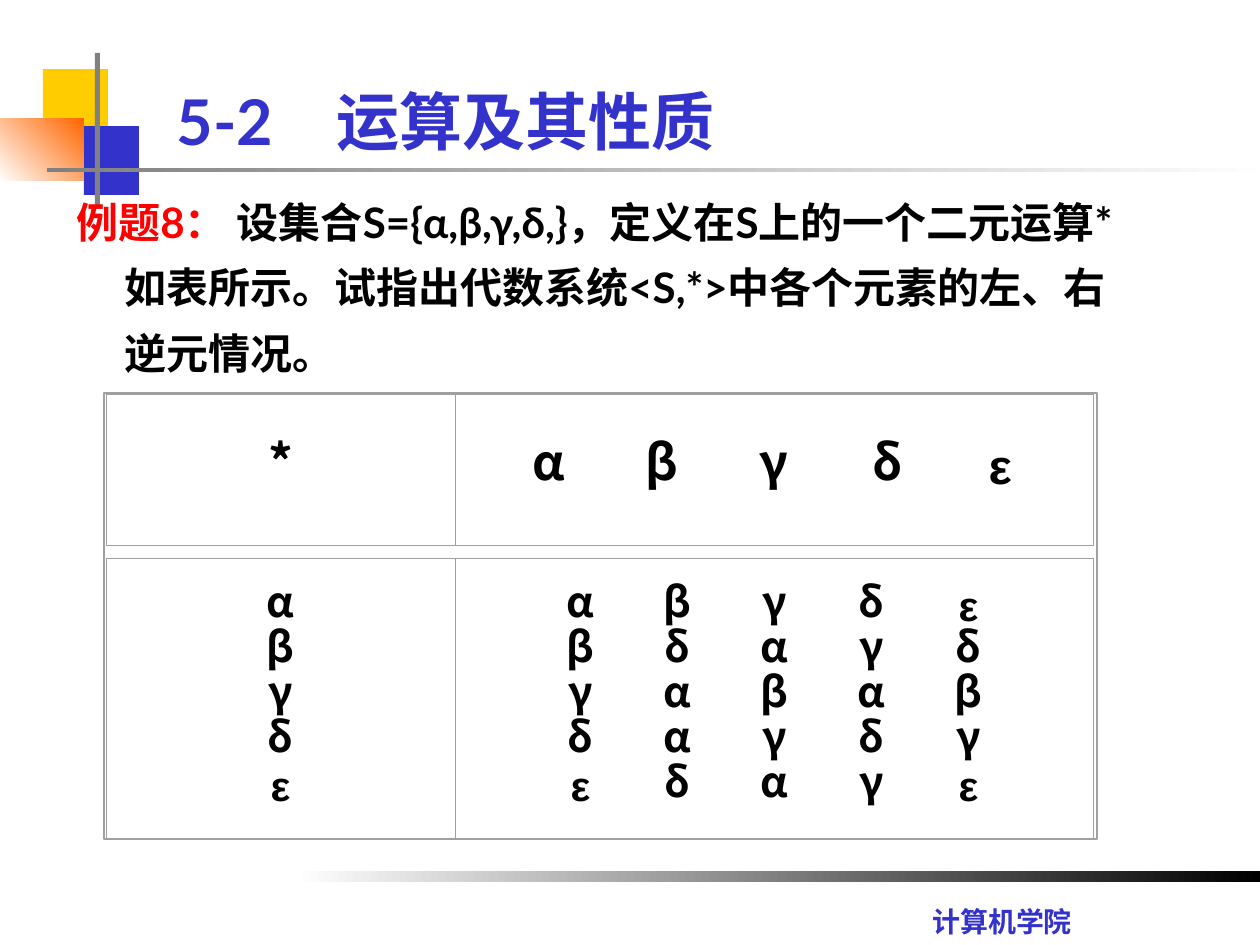
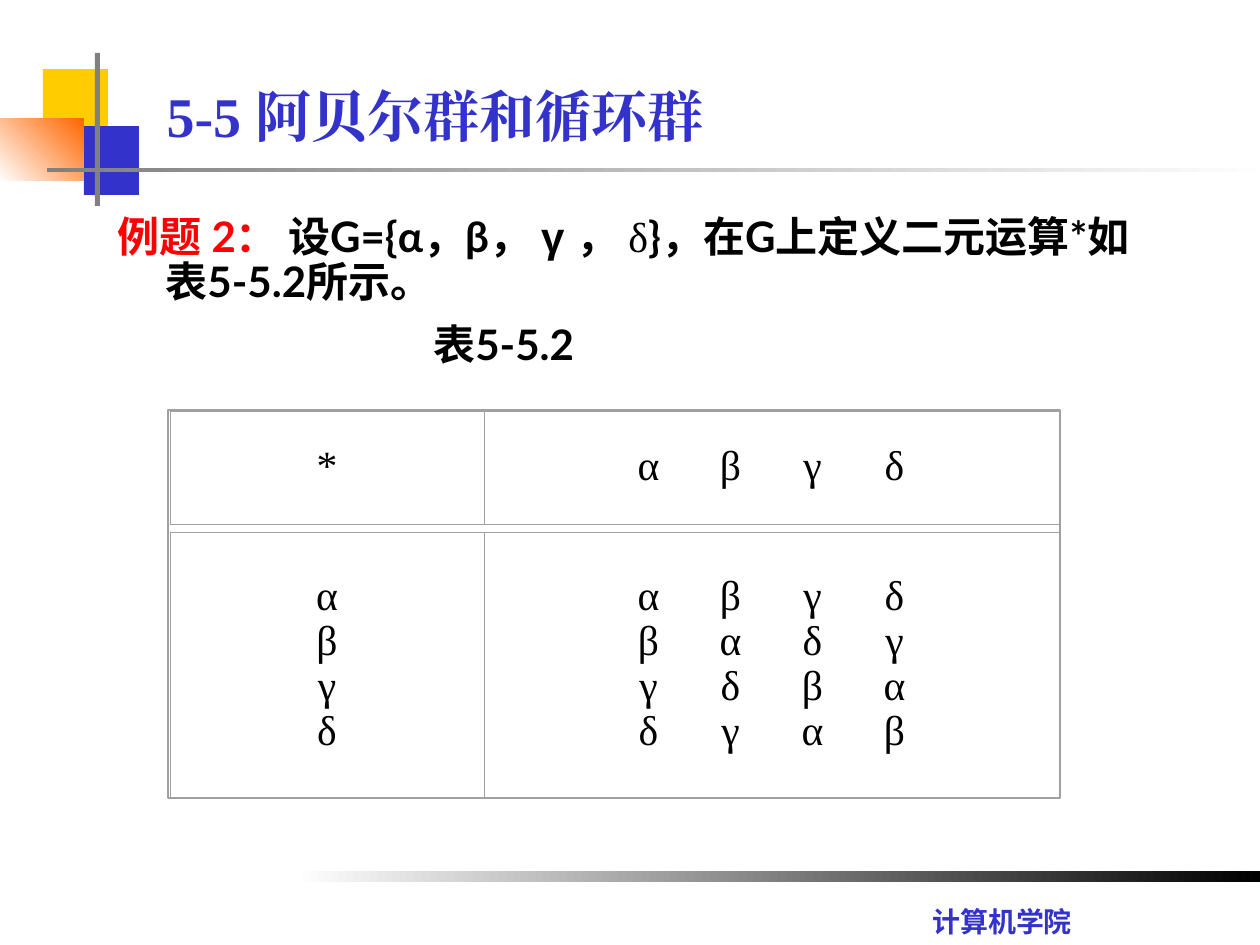
"""Builds two slides on operation tables of algebraic systems."""
from lxml.etree import SubElement
from pptx import Presentation
from pptx.dml.color import RGBColor
from pptx.enum.dml import MSO_LINE
from pptx.enum.shapes import MSO_SHAPE
from pptx.enum.text import MSO_ANCHOR, MSO_AUTO_SIZE, PP_ALIGN
from pptx.oxml.ns import qn
from pptx.util import Pt

PX = 914400 / 126
BLUE, RED, BLACK, GREY = "3333CC", "FF0000", "000000", "A0A0A0"
SANS, CJK, SERIF, ARIAL = "Lato", "Noto Sans CJK SC", "Times New Roman", "Arial"
FOOTER = "计算机学院"

BANDS = [
    ((43, 69, 65, 69), "FFCC00"),
    ((84, 126, 55, 69), BLUE),
    ((0, 119, 84, 62), ("FFFFFF", "FF6600", 45)),
    ((95, 53, 5, 153), "808080"),
    ((47, 168, 1228, 4), ("808080", "FFFFFF", 0)),
    ((294, 871, 966, 11), ("FFFFFF", BLACK, 0)),
]

SLIDES = [
    {
        "title": ("5-2　运算及其性质", (164, 76, 1071, 88), 36, SANS),
        "body_box": (64, 175, 1071, 220),
        "line_spacing": 1.3,
        "paragraphs": [
            (0, [("例题8：", RED, SANS, True),
                 (" 设集合S={α,β,γ,δ,}，定义在S上的一个二元运算*如表所示。"
                  "试指出代数系统<S,*>中各个元素的左、右逆元情况。", BLACK, SANS, True)]),
        ],
        "frame": (104, 393, 993, 446),
        "left": 106, "label_width": 349, "values_width": 639,
        "font": CJK, "bold": True,
        "blocks": [
            {"top": 394, "height": 151, "column": 113, "row": 60, "size": 28,
             "rows": ["*αβγδε"]},
            {"top": 558, "height": 280, "column": 97, "row": 45, "size": 23.8,
             "rows": ["ααβγδε", "ββδαγδ", "γγαβαβ", "δδαγδγ", "εεδαγε"]},
        ],
    },
    {
        "title": ("5-5 阿贝尔群和循环群", (154, 86, 1071, 58), 32, SERIF),
        "body_box": (105, 210, 1071, 199),
        "line_spacing": 0.9,
        "paragraphs": [
            (0, [("例题 2：", RED, SANS, True),
                 (" 设G={α，β， ", BLACK, SANS, True),
                 ("γ ", BLACK, ARIAL, True),
                 ("， ", BLACK, SANS, True),
                 ("δ", BLACK, SERIF, False),
                 ("}，在G上定义二元运算*如表5-5.2所示。", BLACK, SANS, True)]),
            (316, [("表5-5.2", BLACK, SANS, True)]),
        ],
        "frame": (168, 410, 892, 388),
        "left": 170, "label_width": 314, "values_width": 575,
        "font": SERIF, "bold": False,
        "blocks": [
            {"top": 411, "height": 113, "column": 82, "row": 45, "size": 23.8,
             "rows": ["*αβγδ"]},
            {"top": 532, "height": 266, "column": 82, "row": 45, "size": 23.8,
             "rows": ["ααβγδ", "ββαδγ", "γγδβα", "δδγαβ"]},
        ],
    },
]


def emu(pixels):
    """Turn px into EMU."""
    return round(pixels * PX)


def place(box):
    """Turn a px box into EMU."""
    return [emu(value) for value in box]


def rgb(color):
    """Make a colour from a hex string."""
    return RGBColor.from_string(color)


def add_run(paragraph, text, size, color, font, bold):
    """Append one formatted run, with one typeface for all scripts."""
    run = paragraph.add_run()
    run.text = text
    run.font.size = Pt(size)
    run.font.bold = bold
    run.font.color.rgb = rgb(color)
    run.font.name = font
    SubElement(run.font._element, qn("a:ea")).set("typeface", font)


def add_rectangle(slide, box, fill=None, line=None):
    """Draw a rectangle with a plain, gradient or absent fill."""
    shape = slide.shapes.add_shape(MSO_SHAPE.RECTANGLE, *place(box))
    shape.shadow.inherit = False
    if fill is None:
        shape.fill.background()
    elif isinstance(fill, str):
        shape.fill.solid()
        shape.fill.fore_color.rgb = rgb(fill)
    else:
        *colors, angle = fill
        shape.fill.gradient()
        shape.fill.gradient_angle = angle
        for position, (stop, color) in enumerate(zip(shape.fill.gradient_stops, colors)):
            stop.position = position
            stop.color.rgb = rgb(color)
    if line:
        shape.line.color.rgb = rgb(line)
        shape.line.width = Pt(0.88)
    else:
        shape.line.fill.background()


def add_decoration(slide):
    """Draw the shared bands and the footer."""
    for box, fill in BANDS:
        add_rectangle(slide, box, fill)
    footer = slide.shapes.add_textbox(*place((920, 898, 171, 47)))
    footer.text_frame.word_wrap = False
    add_run(footer.text_frame.paragraphs[0], FOOTER, 16, BLUE, "Cabin", True)


def set_title(slide, text, box, size, font):
    """Move and format the title placeholder."""
    title = slide.shapes.title
    title.left, title.top, title.width, title.height = place(box)
    frame = title.text_frame
    frame.auto_size = MSO_AUTO_SIZE.NONE
    frame.vertical_anchor = MSO_ANCHOR.MIDDLE
    paragraph = frame.paragraphs[0]
    paragraph.alignment = PP_ALIGN.LEFT
    add_run(paragraph, text, size, BLUE, font, True)


def add_body(slide, box, line_spacing, paragraphs):
    """Write the example text with a hanging indent or a shifted caption."""
    frame = slide.shapes.add_textbox(*place(box)).text_frame
    frame.word_wrap = True
    for index, (shift, runs) in enumerate(paragraphs):
        paragraph = frame.add_paragraph() if index else frame.paragraphs[0]
        paragraph.line_spacing = line_spacing
        paragraph.space_before = Pt(5 if index else 0)
        paragraph.space_after = Pt(5)
        properties = paragraph._p.get_or_add_pPr()
        properties.set("marL", str(emu(shift or 48)))
        properties.set("indent", str(emu(0 if shift else -48)))
        for text, color, font, bold in runs:
            add_run(paragraph, text, 24, color, font, bold)


def set_borders(cell, visible):
    """Draw the visible sides of a cell and clear the others."""
    properties = cell._tc.get_or_add_tcPr()
    for index, side in enumerate("LRTB"):
        line = properties.makeelement(qn(f"a:ln{side}"), {"w": str(Pt(0.5))})
        properties.insert(index, line)
        if side in visible:
            fill = SubElement(line, qn("a:solidFill"))
            SubElement(fill, qn("a:srgbClr")).set("val", GREY)
        else:
            SubElement(line, qn("a:noFill"))


def add_block(slide, content, block):
    """Add one ruled block of symbols, padded so that they sit in its centre."""
    rows = block["rows"]
    last_row, last_column = len(rows) - 1, len(rows[0]) - 1
    side_pad = (content["values_width"] - block["column"] * last_column) / 2
    end_pad = (block["height"] - block["row"] * len(rows)) / 2
    width = content["label_width"] + content["values_width"]
    box = (content["left"], block["top"], width, block["height"])
    table = slide.shapes.add_table(len(rows), last_column + 1, *place(box)).table
    table.first_row = table.horz_banding = False
    for index, column in enumerate(table.columns):
        pad = side_pad if index in (1, last_column) else 0
        column.width = emu(block["column"] + pad if index else content["label_width"])
    for row_index, symbols in enumerate(rows):
        top_pad = end_pad if row_index == 0 else 0
        bottom_pad = end_pad if row_index == last_row else 0
        table.rows[row_index].height = emu(block["row"] + top_pad + bottom_pad)
        for column_index, symbol in enumerate(symbols):
            cell = table.cell(row_index, column_index)
            cell.fill.background()
            cell.margin_left = emu(side_pad if column_index == 1 else 0)
            cell.margin_right = emu(side_pad if column_index == last_column else 0)
            cell.margin_top, cell.margin_bottom = emu(top_pad), emu(bottom_pad)
            cell.vertical_anchor = MSO_ANCHOR.MIDDLE
            sides = {"L": column_index < 2, "R": column_index in (0, last_column),
                     "T": row_index == 0, "B": row_index == last_row}
            set_borders(cell, [side for side, shown in sides.items() if shown])
            paragraph = cell.text_frame.paragraphs[0]
            paragraph.alignment = PP_ALIGN.CENTER
            paragraph.line_spacing = Pt(round(block["size"] * 1.05))
            font = ARIAL if symbol == "ε" else content["font"]
            add_run(paragraph, symbol, block["size"], BLACK, font, content["bold"])


def main():
    """Build and save the presentation."""
    presentation = Presentation()
    presentation.slide_width, presentation.slide_height = place((1260, 945))
    for content in SLIDES:
        slide = presentation.slides.add_slide(presentation.slide_layouts[5])
        add_decoration(slide)
        set_title(slide, *content["title"])
        add_body(slide, content["body_box"], content["line_spacing"], content["paragraphs"])
        for block in content["blocks"]:
            add_block(slide, content, block)
        add_rectangle(slide, content["frame"], line=GREY)
    presentation.save("out.pptx")


if __name__ == "__main__":
    main()
